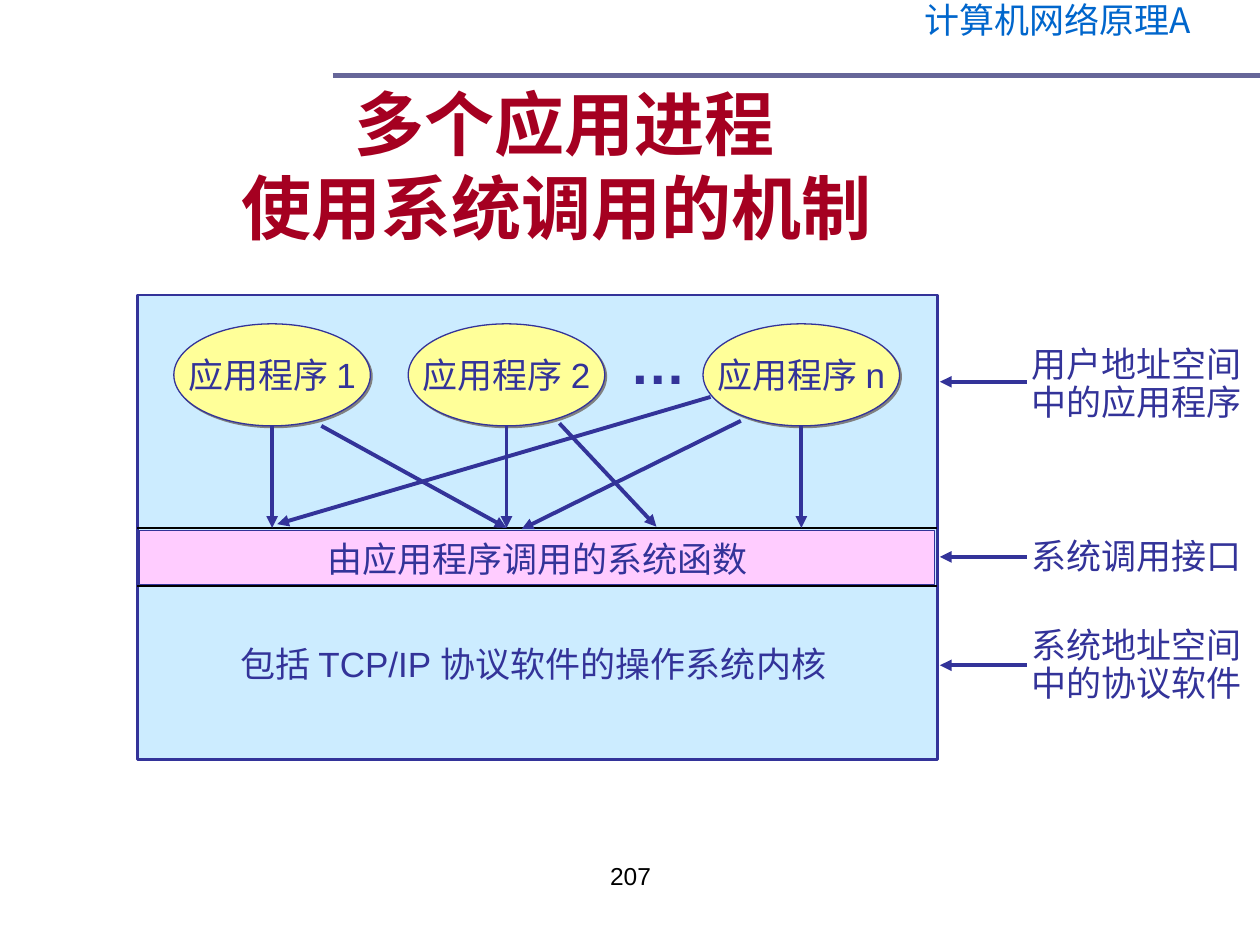
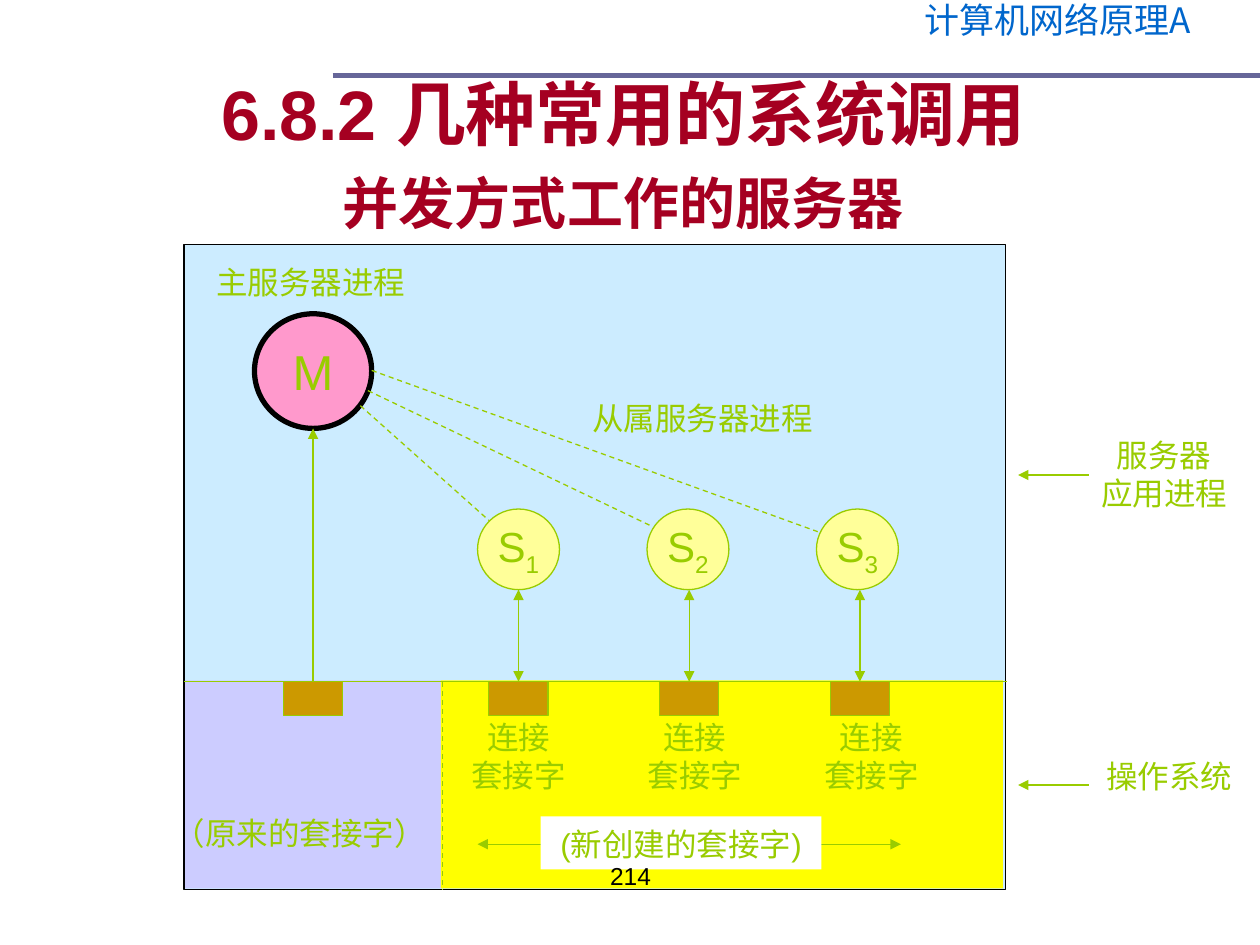
from lxml import etree
from pptx import Presentation
from pptx import util as u
from pptx.dml.color import RGBColor
from pptx.enum import dml, shapes, text
from pptx.oxml import ns

# Shared look: colours, fonts and a grid of 100 columns by 75 rows
paint = RGBColor.from_string
NAVY, LIME, RED, BLACK = "333399", "99CC00", "A50021", "000000"
SKY, CREAM, BROWN = "CCECFF", "FFFF99", "CC9900"
LATIN, CHINESE = "Arial", "Noto Sans CJK SC"
RECT, OVAL = shapes.MSO_SHAPE.RECTANGLE, shapes.MSO_SHAPE.OVAL
LEFT, CENTER = text.PP_ALIGN.LEFT, text.PP_ALIGN.CENTER

deck = Presentation()
deck.slide_width, deck.slide_height = u.Inches(10), u.Inches(7.5)
COLUMN, ROW = deck.slide_width / 100, deck.slide_height / 75


def put(page, at, lines=(), kind=None, fill=None, line=None, weight=0.75,
        size=20, color=NAVY, font=LATIN, bold=False, align=LEFT, spacing=None,
        middle=False, wrap=False, grow=False):
    """Place a preset shape, or a text box when kind is None."""
    left, top, width, height = at
    place = [int(n) for n in (left * COLUMN, top * ROW, width * COLUMN, height * ROW)]
    if kind is None:
        box = page.shapes.add_textbox(*place)
    else:
        box = page.shapes.add_shape(kind, *place)
        box.shadow.inherit = False
        box.fill.solid()
        box.fill.fore_color.rgb = paint(fill)
        if line:
            box.line.color.rgb = paint(line)
            box.line.width = u.Pt(weight)
        else:
            box.line.fill.background()
    frame = box.text_frame
    frame.word_wrap = wrap
    frame.auto_size = (text.MSO_AUTO_SIZE.SHAPE_TO_FIT_TEXT if grow
                       else text.MSO_AUTO_SIZE.NONE)
    frame.vertical_anchor = text.MSO_ANCHOR.MIDDLE if middle else text.MSO_ANCHOR.TOP
    for index, words in enumerate(lines):
        para = frame.add_paragraph() if index else frame.paragraphs[0]
        para.text = words
        para.alignment = align
        para.line_spacing = spacing
        para.font.size, para.font.bold = u.Pt(size), bold
        para.font.name, para.font.color.rgb = font, paint(color)
        default = para._p.pPr.find(ns.qn("a:defRPr"))
        etree.SubElement(default, ns.qn("a:ea"), typeface=CHINESE)
    return box


def link(page, start, end, color, weight=0.75, ends=(), dashed=False):
    """Draw a straight line; ends names the headEnd and tailEnd that get arrows."""
    wire = page.shapes.add_connector(
        shapes.MSO_CONNECTOR.STRAIGHT,
        int(start[0] * COLUMN), int(start[1] * ROW),
        int(end[0] * COLUMN), int(end[1] * ROW))
    wire.line.color.rgb = paint(color)
    wire.line.width = u.Pt(weight)
    if dashed:
        wire.line.dash_style = dml.MSO_LINE.DASH
    outline = wire.line._get_or_add_ln()
    for name in ends:
        etree.SubElement(outline, ns.qn("a:" + name), type="triangle")
    etree.SubElement(wire._element.spPr, ns.qn("a:effectLst"))
    return wire


# Pages with the course name, top rule and title
TITLES = [((5.1, 6.8, 79.4, 12.5), "多个应用进程\v使用系统调用的机制 "),
          ((5.1, 6, 90, 12.5), "6.8.2 几种常用的系统调用 \v")]
pages, headings = [], []
for at, words in TITLES:
    page = deck.slides.add_slide(deck.slide_layouts[6])
    put(page, (69, 0, 29.9, 4.4), ["计算机网络原理A"], color="0066CC",
        font=CHINESE, align=CENTER, spacing=0.8)
    link(page, (26.4, 6), (100, 6), "666699", 3)
    headings.append(put(page, at, [words], size=40, color=RED, bold=True,
                        align=CENTER, middle=True, wrap=True))
    pages.append(page)
calls, server = pages

subtitle = headings[1].text_frame.paragraphs[0]
for words, size in (("并发方式工作的服务器", 32), (" ", 40)):
    span = subtitle.add_run()
    span.text = words
    span.font.size = u.Pt(size)

# System calls: address space and application programs
put(calls, (10.9, 23.4, 63.5, 36.9), kind=RECT, fill=SKY, line=NAVY, weight=1.5)
for left, name in ((13.8, "1"), (32.4, "2"), (55.8, "n")):
    program = put(calls, (left, 25.7, 15.6, 8.1), [f"应用程序 {name}"], OVAL, CREAM,
                  NAVY, align=CENTER, middle=True)
    effects = program._element.spPr.find(ns.qn("a:effectLst"))
    shade = etree.SubElement(effects, ns.qn("a:outerShdw"), dist="17961",
                             dir="2700000", algn="ctr", rotWithShape="0")
    etree.SubElement(shade, ns.qn("a:srgbClr"), val="808080")
put(calls, (49, 25.6, 6.4, 6.4), ["…"], size=32, bold=True, grow=True)

# System calls: band of system functions and kernel
link(calls, (10.9, 41.9), (74.4, 41.9), BLACK)
put(calls, (11.1, 42.1, 63.1, 4.3), kind=RECT, fill="FFCCFF", line=NAVY)
link(calls, (10.9, 46.5), (74.4, 46.5), BLACK)
put(calls, (25, 42.2, 35.4, 4.4), ["由应用程序调用的系统函数"], grow=True)
put(calls, (18.1, 50.5, 49.9, 4.4), ["包括 TCP/IP 协议软件的操作系统内核"], grow=True)

# System calls: straight and crossing calls
CROSSING = [((25.5, 33.8), (40.2, 41.9)), ((58.8, 33.4), (41.4, 42)),
            ((56.4, 31.5), (22, 41.6)), ((44.4, 33.6), (52.1, 41.8))]
straight = [((x, 33.8), (x, 41.9)) for x in (21.6, 40.2, 63.6)]
for start, end in straight + CROSSING:
    link(calls, start, end, NAVY, 2.25, ["tailEnd"])

# System calls: side notes
SIDE_NOTES = [(30.3, 27.1, ["用户地址空间", "中的应用程序"]),
              (44.2, 41.9, ["系统调用接口"]),
              (52.8, 49.4, ["系统地址空间", "中的协议软件"])]
for arrow_row, top, lines in SIDE_NOTES:
    several = len(lines) > 1
    put(calls, (80.9, top, 18.7, 7 if several else 4.4), lines,
        spacing=0.9 if several else None, grow=True)
    link(calls, (81.5, arrow_row), (74.6, arrow_row), NAVY, 2.25, ["tailEnd"])

# Server: process space and operating system areas
BORDER = 54.1
put(server, (14.6, 19.4, 65.2, 51.2), kind=RECT, fill=SKY, line=BLACK)
put(server, (14.7, 54, 20.3, 16.5), kind=RECT, fill="CCCCFF")
put(server, (35, 54, 44.6, 16.5), kind=RECT, fill="FFFF00")
link(server, (14.6, BORDER), (79.9, BORDER), LIME)
link(server, (35.1, BORDER), (35.1, 70.6), LIME, dashed=True)

# Server: master process and its socket
put(server, (20.2, 24.9, 9.3, 9.1), ["M"], OVAL, "FF99CC", BLACK, 3, size=28,
    color=LIME, align=CENTER, middle=True)
socket = put(server, (22.5, BORDER, 4.7, 2.7), kind=RECT, fill=BROWN, line=LIME)
wire = link(server, (24.85, BORDER), (24.85, 34), LIME, ends=["tailEnd"])
wire.begin_connect(socket, 0)

# Server: slave processes, each with a socket and a dashed line to the master
DASHES = [((28.6, 32.2), (38.8, 41.3)), ((29.2, 31), (51.8, 41.8)),
          ((29.5, 29.4), (64.9, 42.2))]
for index, (start, end) in enumerate(DASHES):
    slave = put(server, (37.9 + 13.45 * index, 40.4, 6.5, 6.4), ["S"], OVAL, CREAM,
                LIME, size=24, color=LIME, align=CENTER, middle=True)
    span = slave.text_frame.paragraphs[0].add_run()
    span.text = str(index + 1)
    span._r.get_or_add_rPr().set("baseline", "-25000")
    socket_left = 38.8 + 13.55 * index
    socket = put(server, (socket_left, BORDER, 4.7, 2.7), kind=RECT, fill=BROWN,
                 line=LIME)
    put(server, (36.4 + 14 * index, 56.5, 9.5, 7), ["连接", "套接字"], size=18,
        color=LIME, align=CENTER, grow=True)
    center = socket_left + 4.7 / 2
    wire = link(server, (center, 46.8), (center, BORDER), LIME,
                ends=["headEnd", "tailEnd"])
    wire.end_connect(socket, 0)
    link(server, start, end, LIME, dashed=True)

# Server: labels inside the areas
LABELS = [((46, 31, 19.5, 4.2), "从属服务器进程"),
          ((16.2, 20.2, 17, 4.2), "主服务器进程"),
          ((12.8, 64, 22, 4.2), "（原来的套接字）")]
for at, words in LABELS:
    put(server, at, [words], size=18, color=LIME, spacing=1.05, grow=True)
link(server, (37.9, 67), (71.5, 67), LIME, ends=["headEnd", "tailEnd"])
put(server, (42.9, 64.8, 22.3, 4.2), ["(新创建的套接字)"], RECT, "FFFFFF", size=18,
    color=LIME, align=CENTER, spacing=1.05)

# Server: side notes
for arrow_row, at, lines in ((37.7, (86.4, 34.1, 12, 7), ["服务器", "应用进程"]),
                             (62.3, (86.8, 59.6, 12, 4), ["操作系统"])):
    put(server, at, lines, size=18, color=LIME, align=CENTER, grow=True)
    link(server, (86.4, arrow_row), (80.8, arrow_row), LIME, ends=["tailEnd"])

# Page numbers, on top of everything
for page, number in zip(pages, ("207", "214")):
    put(page, (34.2, 68.3, 31.7, 5.2), [number], size=14, color=BLACK,
        align=CENTER, spacing=0.8, wrap=True)

deck.save("out.pptx")
